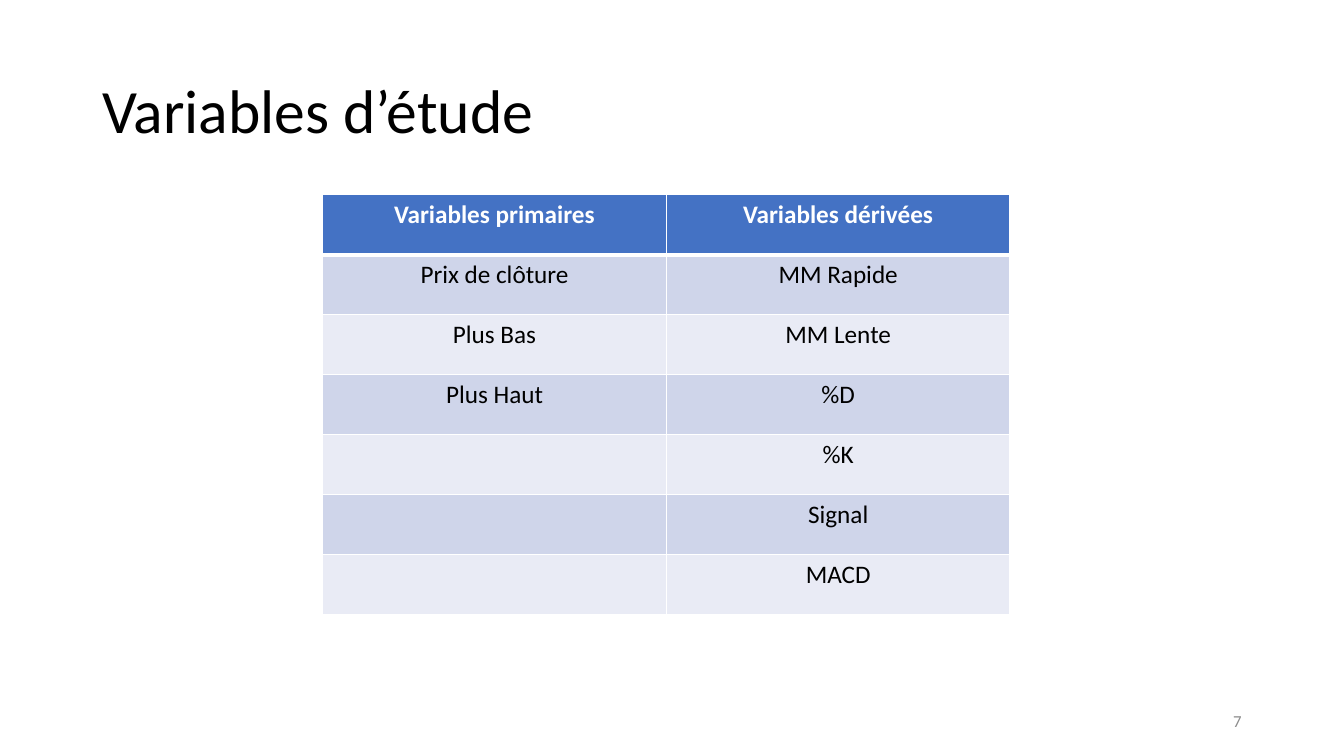
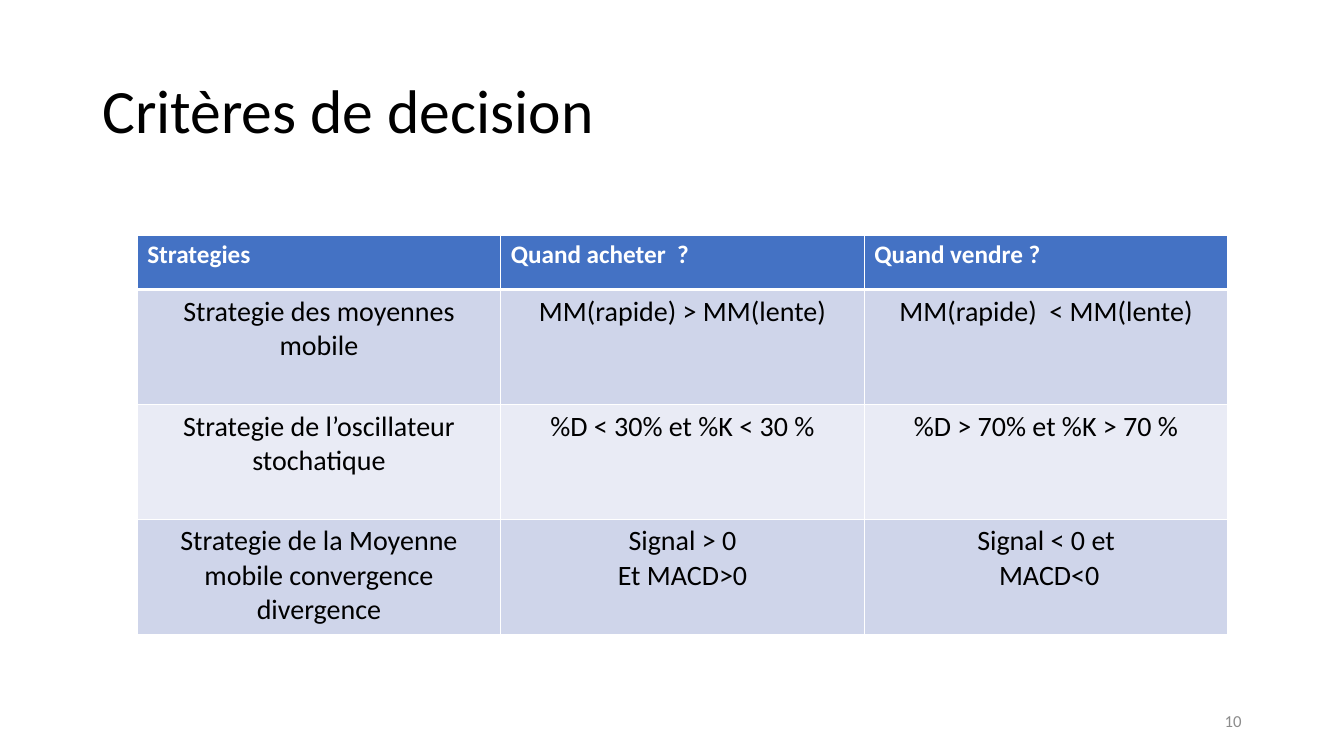
from dataclasses import dataclass

from lxml import etree
from pptx import Presentation
from pptx.dml.color import RGBColor
from pptx.enum.text import MSO_ANCHOR, PP_ALIGN
from pptx.oxml.ns import qn
from pptx.util import Pt

LEFT, CENTER, RIGHT = PP_ALIGN.LEFT, PP_ALIGN.CENTER, PP_ALIGN.RIGHT
MIDDLE = MSO_ANCHOR.MIDDLE


@dataclass(frozen=True)
class Theme:
    font: str = "Calibri"
    ink: str = "000000"
    white: str = "FFFFFF"
    head: str = "4472C4"
    bands: tuple = ("CFD5EA", "E9EBF5")
    muted: str = "8C8C8C"
    title: int = 44
    large: int = 20
    body: int = 18
    small: int = 12
    thin: int = 1
    thick: int = 3


THEME = Theme()


def write(frame, text, size=THEME.body, color=THEME.ink, bold=False,
          align=LEFT, spacing=None):
    frame.word_wrap = True
    for index, line in enumerate(text.split("\n")):
        para = frame.add_paragraph() if index else frame.paragraphs[0]
        para.alignment = align
        if spacing:
            para.line_spacing = spacing
        if line:
            run = para.add_run()
            run.text = line
            run.font.name = THEME.font
            run.font.size = Pt(size)
            run.font.bold = bold
            run.font.color.rgb = RGBColor.from_string(color)


def add_text(slide, box, text, **style):
    frame = slide.shapes.add_textbox(*map(Pt, box)).text_frame
    frame.vertical_anchor = MIDDLE
    write(frame, text, **style)


def add_edges(cell, top, bottom):
    props = cell._tc.get_or_add_tcPr()
    widths = {"L": THEME.thin, "R": THEME.thin, "T": top, "B": bottom}
    for side, width in widths.items():
        line = etree.SubElement(props, qn(f"a:ln{side}"), w=str(Pt(width)))
        fill = etree.SubElement(line, qn("a:solidFill"))
        etree.SubElement(fill, qn("a:srgbClr"), val=THEME.white)


def fill_cell(cell, text, row, size, align):
    is_head = row == 0
    add_edges(cell, THEME.thick if row == 1 else THEME.thin,
              THEME.thick if is_head else THEME.thin)
    cell.fill.solid()
    color = THEME.head if is_head else THEME.bands[(row - 1) % 2]
    cell.fill.fore_color.rgb = RGBColor.from_string(color)
    if is_head:
        write(cell.text_frame, text, color=THEME.white, bold=True, align=align)
    else:
        write(cell.text_frame, text, size=size, align=CENTER)


def add_grid(slide, rows, left, top, width, first, height,
             size=THEME.body, align=CENTER):
    count = len(rows[0])
    total = first + height * (len(rows) - 1)
    table = slide.shapes.add_table(
        len(rows), count, Pt(left), Pt(top), Pt(width * count), Pt(total)
    ).table
    for column in table.columns:
        column.width = Pt(width)
    for row, texts in enumerate(rows):
        table.rows[row].height = Pt(height if row else first)
        for col, text in enumerate(texts):
            fill_cell(table.cell(row, col), text, row, size, align)


def add_page(deck, title, number):
    slide = deck.slides.add_slide(deck.slide_layouts[6])
    add_text(slide, (66, 28.8, 828, 104.4), title,
             size=THEME.title, spacing=0.9)
    add_text(slide, (678, 500.4, 216, 28.8), number,
             size=THEME.small, color=THEME.muted, align=RIGHT)
    return slide


def main():
    deck = Presentation()
    deck.slide_width, deck.slide_height = Pt(960), Pt(540)

    study = add_page(deck, "Variables d’étude", "7")
    add_grid(study, [
        ("Variables primaires", "Variables dérivées"),
        ("Prix de clôture", "MM Rapide"),
        ("Plus Bas", "MM Lente"),
        ("Plus Haut", "%D"),
        ("", "%K"),
        ("", "Signal"),
        ("", "MACD"),
    ], left=230.5, top=139, width=245.5, first=42.9, height=42.9)

    rules = add_page(deck, "Critères de decision", "10")
    add_grid(rules, [
        ("Strategies", "Quand acheter  ?", "Quand vendre ?"),
        ("Strategie des moyennes mobile",
         "MM(rapide) > MM(lente)", "MM(rapide)  < MM(lente)"),
        ("Strategie de l’oscillateur stochatique",
         "%D < 30% et %K < 30 %", "%D > 70% et %K > 70 %"),
        ("Strategie de la Moyenne mobile convergence divergence",
         "Signal > 0\nEt MACD>0", "Signal < 0 et\n MACD<0"),
    ], left=98, top=167.8, width=259.7, first=38.9, height=82.1,
        size=THEME.large, align=LEFT)

    deck.save("out.pptx")


if __name__ == "__main__":
    main()
